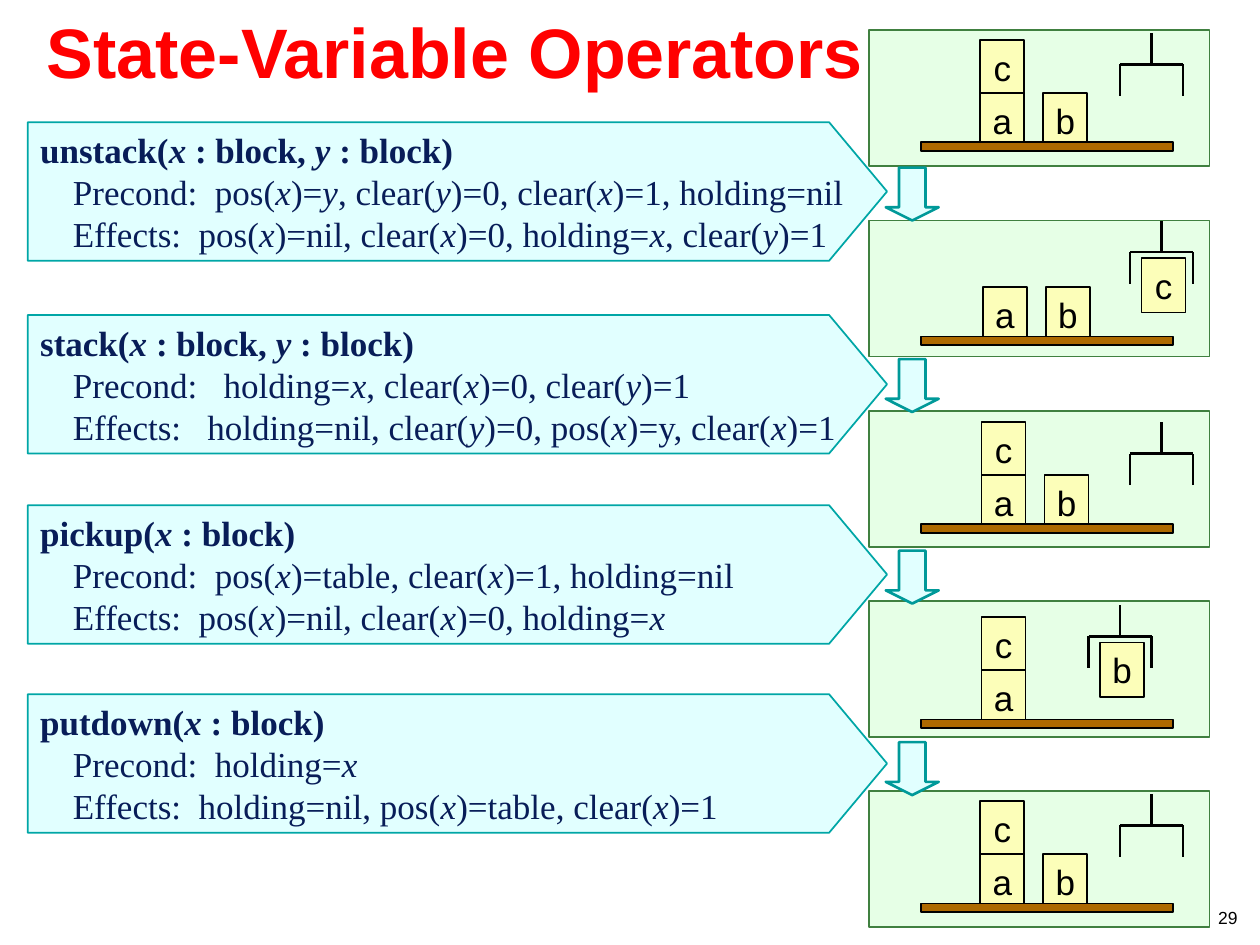
from pptx import Presentation
from pptx.dml.color import RGBColor
from pptx.enum.shapes import MSO_CONNECTOR, MSO_SHAPE
from pptx.enum.text import MSO_ANCHOR, PP_ALIGN
from pptx.oxml.ns import qn
from pptx.util import Inches, Pt
from lxml.etree import SubElement

BLACK = RGBColor(0x00, 0x00, 0x00)
RED = RGBColor(0xFF, 0x00, 0x00)
NAVY = RGBColor(0x08, 0x1D, 0x58)
CYAN = RGBColor(0xE1, 0xFF, 0xFF)
TEAL = RGBColor(0x00, 0xA6, 0xA6)
DARK_TEAL = RGBColor(0x00, 0x99, 0x99)
MINT = RGBColor(0xE6, 0xFF, 0xE6)
GREEN = RGBColor(0x40, 0x80, 0x40)
YELLOW = RGBColor(0xFC, 0xFE, 0xB9)
BROWN = RGBColor(0xAD, 0x69, 0x00)

# Asterisks enclose the italic variables.
OPERATORS = [
    (0.97, ["unstack(*x *: block, *y *: block)",
            "Precond:  pos(*x*)=*y*, clear(*y*)=0, clear(*x*)=1, holding=nil",
            "Effects:  pos(*x*)=nil, clear(*x*)=0, holding=*x*, clear(*y*)=1"]),
    (2.50, ["stack(*x *: block, *y *: block)",
            "Precond:   holding=*x*, clear(*x*)=0, clear(*y*)=1",
            "Effects:   holding=nil, clear(*y*)=0, pos(*x*)=y, clear(*x*)=1"]),
    (4.01, ["pickup(*x *: block)",
            "Precond:  pos(*x*)=table, clear(*x*)=1, holding=nil",
            "Effects:  pos(*x*)=nil, clear(*x*)=0, holding=*x*"]),
    (5.51, ["putdown(*x *: block)",
            "Precond:  holding=*x*",
            "Effects:  holding=nil, pos(*x*)=table, clear(*x*)=1"]),
]

# Left of block a, table top, hand centre, hand top, held block
STATES = [
    (7.78, 1.13, 9.14, 0.26, None),
    (7.80, 2.67, 9.22, 1.75, "c"),
    (7.79, 4.16, 9.22, 3.35, None),
    (7.79, 5.71, 8.89, 4.80, "b"),
    (7.78, 7.17, 9.14, 6.30, None),
]
BLOCK_CELLS = {"c": (0, 1), "a": (0, 0), "b": (1, 0)}  # column, row above table


def add_text(p, text, size=20, font="Arial", color=BLACK, bold=False,
             align=PP_ALIGN.LEFT, indent=0):
    p.alignment = align
    if indent:
        pPr = p._p.get_or_add_pPr()
        pPr.set("marL", str(Inches(indent)))
        pPr.set("indent", "0")
    for i, part in enumerate(text.split("*")):
        if part:
            r = p.add_run()
            r.text = part
            r.font.size = Pt(size)
            r.font.name = font
            r.font.color.rgb = color
            r.font.bold = bold
            r.font.italic = i % 2 == 1


class SlideBuilder:
    def __init__(self, s):
        self.s = s

    def paint(self, sp, fill, line, width=1):
        sp.fill.solid()
        sp.fill.fore_color.rgb = fill
        sp.line.color.rgb = line
        sp.line.width = Pt(width)
        sp.shadow.inherit = False
        return sp

    def shape(self, kind, x, y, w, h, fill, line, width=1):
        sp = self.s.shapes.add_shape(kind, Inches(x), Inches(y), Inches(w), Inches(h))
        return self.paint(sp, fill, line, width)

    def line(self, x1, y1, x2, y2):
        c = self.s.shapes.add_connector(MSO_CONNECTOR.STRAIGHT, Inches(x1), Inches(y1),
                                        Inches(x2), Inches(y2))
        c.line.color.rgb = BLACK
        c.line.width = Pt(1.5)
        SubElement(c._element.spPr, qn("a:effectLst"))

    def label(self, x, y, w, h, text, anchor=MSO_ANCHOR.TOP, **fmt):
        tb = self.s.shapes.add_textbox(Inches(x), Inches(y), Inches(w), Inches(h))
        tf = tb.text_frame
        tf.word_wrap = True
        tf.vertical_anchor = anchor
        add_text(tf.paragraphs[0], text, **fmt)

    def operator(self, top, lines):
        left, shoulder, tip, height = 0.22, 6.58, 7.04, 1.1
        points = [(shoulder, top), (tip, top + height / 2),
                  (shoulder, top + height), (left, top + height)]
        fb = self.s.shapes.build_freeform(Inches(left), Inches(top))
        fb.add_line_segments([(Inches(x), Inches(y)) for x, y in points], close=True)
        sp = self.paint(fb.convert_to_shape(), CYAN, TEAL)
        tf = sp.text_frame
        tf.word_wrap = True
        tf.vertical_anchor = MSO_ANCHOR.TOP
        for i, text in enumerate(lines):
            p = tf.add_paragraph() if i else tf.paragraphs[0]
            add_text(p, text, font="Times New Roman", color=NAVY, bold=i == 0,
                     indent=0.26 if i else 0)

    def block(self, x, y, letter):
        sp = self.shape(MSO_SHAPE.RECTANGLE, x, y, 0.35, 0.43, YELLOW, BLACK)
        tf = sp.text_frame
        tf.margin_left = tf.margin_right = 0
        tf.vertical_anchor = MSO_ANCHOR.TOP
        add_text(tf.paragraphs[0], letter, align=PP_ALIGN.CENTER)

    def hand(self, cx, top):
        reach = 0.25
        bar = top + reach
        for x in (cx - reach, cx + reach):
            self.line(x, bar + reach, x, bar)
        self.line(cx - reach, bar, cx + reach, bar)
        self.line(cx, bar, cx, top)

    def state(self, top, stack_x, table_y, hand_x, hand_y, held):
        self.shape(MSO_SHAPE.RECTANGLE, 6.9, top, 2.7, 1.08, MINT, GREEN)
        self.hand(hand_x, hand_y)
        for letter, (col, row) in BLOCK_CELLS.items():
            if letter == held:
                self.block(hand_x - 0.16, hand_y + 0.3, letter)
            else:
                self.block(stack_x + 0.5 * col, table_y - 0.39 - 0.42 * row, letter)
        self.shape(MSO_SHAPE.RECTANGLE, 7.31, table_y, 2, 0.07, BROWN, BLACK)

    def arrow(self, top):
        sp = self.shape(MSO_SHAPE.DOWN_ARROW, 7.03, top, 0.42, 0.42, CYAN, DARK_TEAL, 1.5)
        sp.adjustments[0] = 0.5
        sp.adjustments[1] = 0.25


def main():
    prs = Presentation()
    prs.slide_width, prs.slide_height = Inches(10), Inches(7.5)
    slide = SlideBuilder(prs.slides.add_slide(prs.slide_layouts[6]))
    slide.label(9.4, 7.15, 0.52, 0.26, "29", size=10, align=PP_ALIGN.RIGHT)
    slide.label(0.17, 0.11, 6.88, 0.67, "State-Variable Operators", MSO_ANCHOR.BOTTOM,
                size=40, color=RED, bold=True, align=PP_ALIGN.CENTER)
    for top, lines in OPERATORS:
        slide.operator(top, lines)
    for i, state in enumerate(STATES):
        slide.state(0.24 + 1.51 * i, *state)
    for i in range(len(OPERATORS)):
        slide.arrow(1.33 + 1.52 * i)
    prs.save("out.pptx")


if __name__ == "__main__":
    main()
